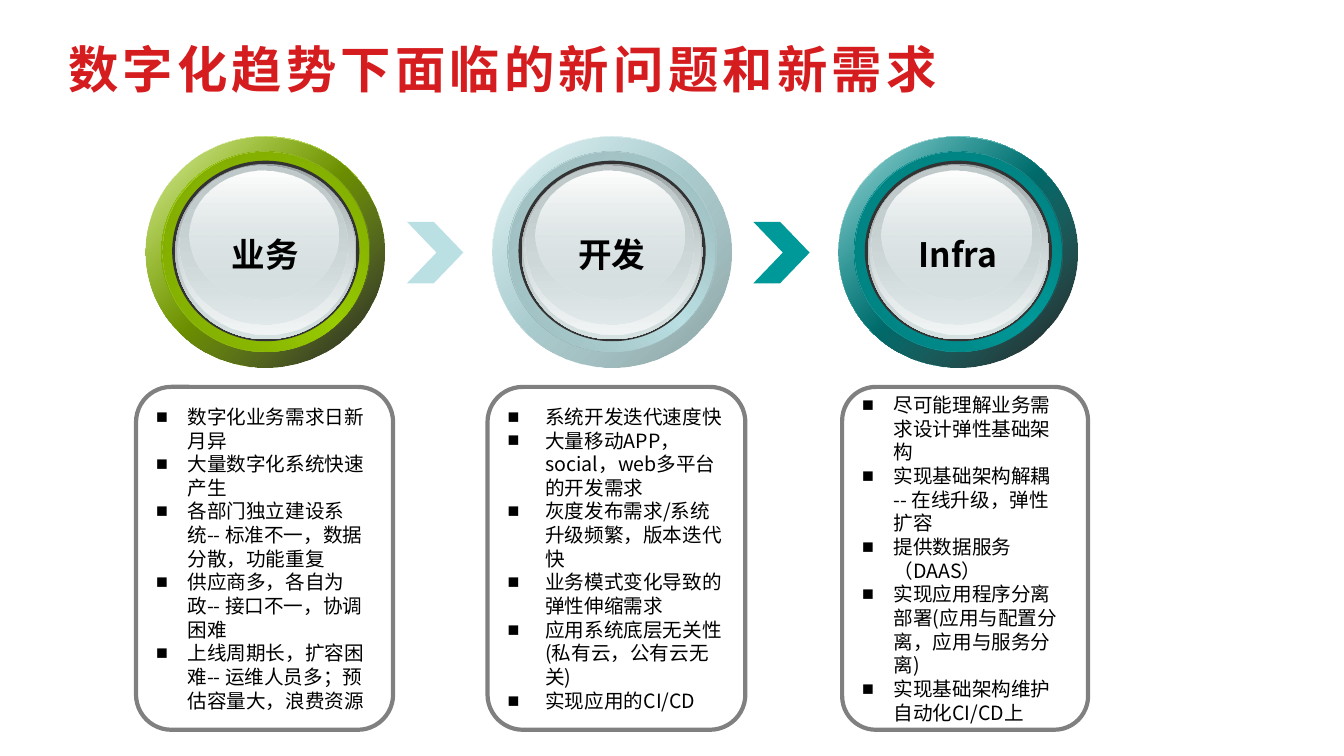
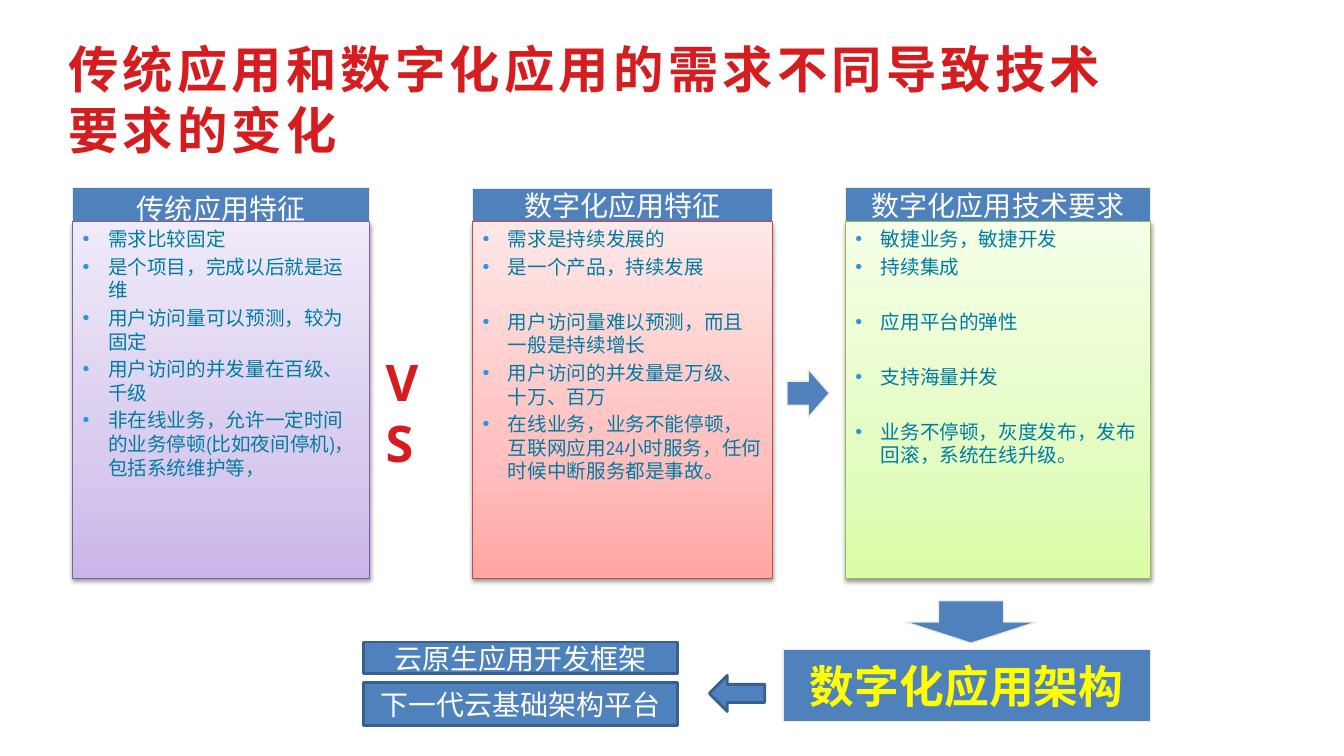
from lxml import etree
from pptx import Presentation
from pptx.dml.color import RGBColor
from pptx.enum.shapes import MSO_SHAPE
from pptx.enum.text import MSO_ANCHOR, MSO_AUTO_SIZE, PP_ALIGN
from pptx.oxml.ns import qn
from pptx.util import Cm, Pt

RECT, ROUND, OVAL = MSO_SHAPE.RECTANGLE, MSO_SHAPE.ROUNDED_RECTANGLE, MSO_SHAPE.OVAL
CHEVRON, RIGHT, LEFT, DOWN = (MSO_SHAPE.CHEVRON, MSO_SHAPE.RIGHT_ARROW,
                              MSO_SHAPE.LEFT_ARROW, MSO_SHAPE.DOWN_ARROW)
TOP, MIDDLE = MSO_ANCHOR.TOP, MSO_ANCHOR.MIDDLE
ALIGN_LEFT, CENTER = PP_ALIGN.LEFT, PP_ALIGN.CENTER
NO_FIT = MSO_AUTO_SIZE.NONE

COLORS = {
    "title": "D51C1E", "ink": "000000", "white": "FFFFFF", "frame": "808080",
    "blue": "4F81BD", "blue_edge": "3A5F8C", "pale_edge": "EEECE1",
    "yellow": "FFFF00", "list": "007CA2", "bullet": "2C95DD", "rim": "333333",
    "glass": "D6E1E2", "glass_dark": "99A1A2", "glass_mid": "C1CBCC",
    "glass_light": "F2F5F5",
    "green": "99CC00", "green_dark": "759C00", "green_mid": "7EA700",
    "ice": "BBE0E3", "ice_dark": "8FACAE", "ice_mid": "9AB8BA", "ice_shade": "86A0A2",
    "teal": "009999", "teal_dark": "007575", "teal_mid": "007E7E",
    "purple_edge": "7D60A0", "purple_1": "C9B5E8", "purple_2": "D8CBEE", "purple_3": "F0EAF9",
    "red_edge": "BF4C48", "red_1": "FFA6A5", "red_2": "FFC0BF", "red_3": "FFE7E7",
    "lime_edge": "98B955", "lime_1": "DAFDA7", "lime_2": "E4FCC2", "lime_3": "F5FFE7",
}
CJK, SANS, NARROW, CALIBRI = "Noto Sans CJK SC", "Noto Sans", "Arial Narrow", "Calibri"
LINE_PITCH = 1.21


# ---- Shared helpers ----
def rgb(name):
    return RGBColor.from_string(COLORS[name])


def sub(parent, tag, **attrs):
    return etree.SubElement(parent, qn(tag), {k: str(v) for k, v in attrs.items()})


def add_color(parent, name, alpha=100):
    clr = sub(parent, "a:srgbClr", val=COLORS[name])
    if alpha < 100:
        sub(clr, "a:alpha", val=alpha * 1000)


def gradient(sp, stops, angle):
    """Stops are (position %, colour[, opacity %])."""
    grad = sub(sp._element.spPr, "a:gradFill", rotWithShape=1)
    gs_list = sub(grad, "a:gsLst")
    for pos, *color in stops:
        add_color(sub(gs_list, "a:gs", pos=pos * 1000), *color)
    sub(grad, "a:lin", ang=angle * 60000, scaled=0)


def add_box(slide, kind, box, fill=None, line=None, width=1, adj=None):
    """Fill is a colour name, a (stops, angle) pair or None."""
    sp = slide.shapes.add_shape(kind, *map(Cm, box))
    if adj is not None:
        sp.adjustments[0] = adj
    if fill is None:
        sp.fill.background()
    elif isinstance(fill, str):
        sp.fill.solid()
        sp.fill.fore_color.rgb = rgb(fill)
    else:
        gradient(sp, *fill)
    if line:
        sp.line.color.rgb = rgb(line)
        sp.line.width = Pt(width)
    else:
        sp.line.fill.background()
    sp.shadow.inherit = False
    return sp


def drop_shadow(sp):
    effects = sp._element.spPr.find(qn("a:effectLst"))
    shadow = sub(effects, "a:outerShdw", blurRad=Pt(3.1), dist=Pt(1.6),
                 dir=90 * 60000, rotWithShape=0)
    add_color(shadow, "ink", 38)


def write(p, text, size, font, color, bold=False, align=ALIGN_LEFT, spacing=0):
    p.alignment = align
    p.line_spacing = Pt(round(size * LINE_PITCH, 1))
    r = p.add_run()
    r.text = text
    r.font.size, r.font.name, r.font.bold = Pt(size), font, bold
    r.font.color.rgb = rgb(color)
    rpr = r.font._element
    if spacing:
        rpr.set("spc", str(spacing * 100))
    sub(rpr, "a:ea", typeface=CJK)


def set_frame(sp, anchor, wrap=True):
    tf = sp.text_frame
    tf.word_wrap, tf.auto_size, tf.vertical_anchor = wrap, NO_FIT, anchor
    return tf


def place(sp, box):
    sp.left, sp.top, sp.width, sp.height = map(Cm, box)


def set_title(slide, text, width, height):
    sp = slide.shapes.title
    place(sp, (1.47, 0.82, width, height))
    write(set_frame(sp, TOP).paragraphs[0], text, 36, SANS, "title", True, spacing=3)


def fill_list(slide, idx, box, items, anchor, font, color, indent, bullet,
              bullet_font, bullet_color, before=0):
    """Items are strings, or (string, space before) pairs for a wider gap."""
    sp = slide.placeholders[idx]
    place(sp, box)
    tf = set_frame(sp, anchor)
    for i, item in enumerate(items):
        text, gap = (item, before) if isinstance(item, str) else item
        p = tf.paragraphs[0] if i == 0 else tf.add_paragraph()
        write(p, text, 14, font, color)
        p.space_before, p.space_after = Pt(gap), Pt(0)
        ppr = p._p.get_or_add_pPr()
        ppr.set("marL", str(Cm(indent)))
        ppr.set("indent", str(-Cm(indent)))
        add_color(sub(ppr, "a:buClr"), bullet_color)
        sub(ppr, "a:buFont", typeface=bullet_font)
        sub(ppr, "a:buChar", char=bullet)
    slide.shapes._spTree.append(sp._element)  # bring above its card


def drop_empty(slide):
    for sp in list(slide.placeholders):
        if not sp.text_frame.text:
            sp._element.getparent().remove(sp._element)


# ---- Slide 1: business, development, infrastructure ----
GLASS = [  # dx, dy, width, height, stops
    (0.74, 0.69, 4.57, 4.42, [(0, "glass_dark"), (100, "glass")]),
    (0.79, 0.71, 4.47, 4.29, [(0, "glass", 0), (100, "glass_light")]),
    (0.84, 0.74, 4.24, 4.01, [(0, "glass_mid"), (100, "glass", 48)]),
    (1.09, 0.86, 3.76, 3.25, [(0, "white"), (100, "glass", 38)]),
]


def add_orb(slide, x, y, label, hue, shade):
    dark, mid = hue + "_dark", hue + "_mid"
    outer, inner = (6.02, 5.82), (5.23, 5.05)
    layers = [
        (0, 0, *outer, ([(0, "white"), (50, hue), (100, "white")], 45)),
        (0, 0, *outer, ([(0, hue, 32), (100, *shade)], 45)),
        (0.39, 0.38, *inner, ([(0, dark), (50, hue), (100, dark)], 315)),
        (0.41, 0.38, *inner, ([(0, mid), (100, hue, 0)], 45)),
        (0.66, 0.61, 4.72, 4.55, "rim"),
    ] + [(*geometry, (stops, 90)) for *geometry, stops in GLASS]
    for dx, dy, w, h, fill in layers:
        add_box(slide, OVAL, (x + dx, y + dy, w, h), fill)
    tb = slide.shapes.add_textbox(Cm(x), Cm(y + 2.31), Cm(outer[0]), Cm(1.27))
    write(set_frame(tb, TOP).paragraphs[0], label, 24, CJK, "ink", True, CENTER)


def add_framed_list(slide, idx, box, items, indent):
    add_box(slide, ROUND, box, None, "frame", 3, 0.137)
    x, y, w, h = box
    pad = 0.25  # room for the rounded corners
    fill_list(slide, idx, (x + pad, y + pad, w - 2 * pad, h - 2 * pad), items,
              MIDDLE, CJK, "ink", indent, "■", "Arial", "ink")


def trends_slide(slide):
    set_title(slide, "数字化趋势下面临的新问题和新需求", 27.76, 1.8)
    columns = [  # label, hue, shade, card left, card width, indent, items
        ("业务", "green", ("ink", 90), 3.43, 6.48, 0.79, [
            "数字化业务需求日新月异",
            "大量数字化系统快速产生",
            "各部门独立建设系统-- 标准不一，数据分散，功能重复",
            "供应商多，各自为政-- 接口不一，协调困难",
            "上线周期长，扩容困难-- 运维人员多；预估容量大，浪费资源"]),
        ("开发", "ice", ("ice_shade",), 12.29, 6.5, 0.95, [
            "系统开发迭代速度快",
            "大量移动APP，social，web多平台的开发需求",
            "灰度发布需求/系统升级频繁，版本迭代快",
            "业务模式变化导致的弹性伸缩需求",
            "应用系统底层无关性(私有云，公有云无关)",
            "实现应用的CI/CD"]),
        ("Infra", "teal", ("ink", 90), 21.23, 6.2, 0.79, [
            "尽可能理解业务需求设计弹性基础架构",
            "实现基础架构解耦 -- 在线升级，弹性扩容",
            "提供数据服务（DAAS）",
            "实现应用程序分离部署(应用与配置分离，应用与服务分离)",
            "实现基础架构维护自动化CI/CD上"]),
    ]
    step, first = 8.73, 3.68
    for i, (label, hue, shade, left, width, indent, items) in enumerate(columns):
        x = first + i * step
        if i:  # chevron leading in, in the colour of this column
            add_box(slide, CHEVRON, (x - 2.15, 5.59, 1.42, 1.55), hue, adj=0.525)
        add_orb(slide, x, 3.44, label, hue, shade)
        add_framed_list(slide, i + 1, (left, 9.75, width, 8.64), items, indent)


# ---- Slide 2: traditional against digital applications ----
def add_label(slide, box, text, line="pale_edge", width=1, size=20, color="white", bold=False):
    sp = add_box(slide, RECT, box, "blue", line, width)
    tf = set_frame(sp, MIDDLE)
    tf.margin_top = tf.margin_bottom = 0
    write(tf.paragraphs[0], text, size, CALIBRI, color, bold, CENTER)


def add_panel(slide, idx, box, header, hue, items):
    x, y, w, header_h = box
    add_label(slide, box, header)
    card = (x, 5.59, w, 9)
    stops = [(0, hue + "_1"), (35, hue + "_2"), (100, hue + "_3")]
    drop_shadow(add_box(slide, RECT, card, (stops, 270), hue + "_edge", 0.75))
    fill_list(slide, idx, card, items, TOP, NARROW, "list", 0.64, "•", "Arial",
              "bullet", 2.8)


def comparison_slide(slide):
    set_title(slide, "传统应用和数字化应用的需求不同导致技术要求的变化", 27.25, 3.4)
    gap = 22.4  # one empty line
    panels = [
        ((1.83, 4.72, 7.49, 1.07), "传统应用特征", "purple", [
            "需求比较固定",
            "是个项目，完成以后就是运维",
            "用户访问量可以预测，较为固定",
            "用户访问的并发量在百级、千级",
            "非在线业务，允许一定时间的业务停顿(比如夜间停机)，包括系统维护等，"]),
        ((11.91, 4.75, 7.57, 0.84), "数字化应用特征", "red", [
            "需求是持续发展的",
            "是一个产品，持续发展",
            ("用户访问量难以预测，而且一般是持续增长", gap),
            "用户访问的并发量是万级、十万、百万",
            "在线业务，业务不能停顿，互联网应用24小时服务，任何时候中断服务都是事故。"]),
        ((21.31, 4.72, 7.7, 0.89), "数字化应用技术要求", "lime", [
            "敏捷业务，敏捷开发",
            "持续集成",
            ("应用平台的弹性", gap),
            ("支持海量并发", gap),
            ("业务不停顿，灰度发布，发布回滚，系统在线升级。", gap)]),
    ]
    for idx, panel in enumerate(panels, 1):
        add_panel(slide, idx, *panel)

    # Versus mark and arrows
    tb = slide.shapes.add_textbox(Cm(9.47), Cm(8.72), Cm(2.01), Cm(3.4))
    write(set_frame(tb, TOP).paragraphs[0], "VS", 36, SANS, "title", True, spacing=3)
    add_box(slide, RIGHT, (19.84, 9.3, 1.07, 1.22), "blue", "pale_edge")
    add_box(slide, DOWN, (22.83, 15.14, 3.3, 1.07), "blue", "pale_edge")
    add_box(slide, LEFT, (17.88, 17.02, 1.4, 0.91), "blue", "blue_edge", 2)

    # Resulting architecture
    add_label(slide, (19.74, 16.36, 9.27, 1.83), "数字化应用架构",
              size=32, color="yellow", bold=True)
    add_label(slide, (9.17, 16.18, 7.92, 0.79), "云原生应用开发框架", "blue_edge", 2)
    add_label(slide, (9.17, 17.2, 7.92, 1.09), "下一代云基础架构平台", "blue_edge", 2)


def main():
    prs = Presentation()
    prs.slide_width, prs.slide_height = Cm(33.88), Cm(19.05)
    comparison_layout = prs.slide_layouts[4]
    for build in (trends_slide, comparison_slide):
        slide = prs.slides.add_slide(comparison_layout)
        build(slide)
        drop_empty(slide)
    prs.save("out.pptx")


if __name__ == "__main__":
    main()
